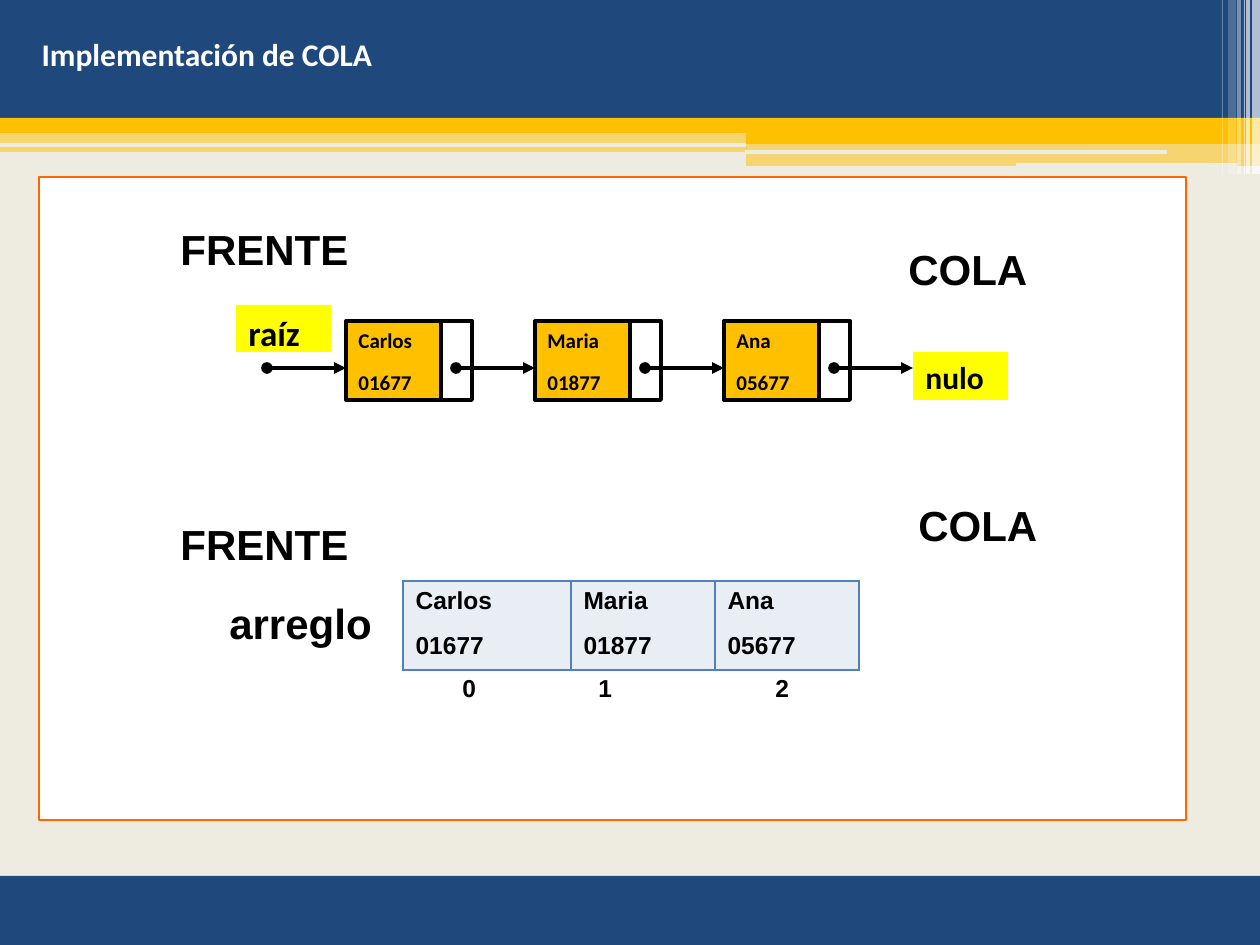
import lxml.etree
import pptx
import pptx.dml.color
import pptx.enum.shapes
import pptx.enum.text
import pptx.oxml.ns
import pptx.util

EMU_PER_PX = 914400 / 126
NAVY, GOLD, CREAM = "1F497D", "FFC000", "EEECE1"
WHITE, BLACK, YELLOW, ORANGE = "FFFFFF", "000000", "FFFF00", "FF6600"
TABLE_FILL, TABLE_BORDER = "E9EDF4", "4F81BD"
RECTANGLE = pptx.enum.shapes.MSO_SHAPE.RECTANGLE
ROUNDED = pptx.enum.shapes.MSO_SHAPE.ROUNDED_RECTANGLE
ANCHOR = pptx.enum.text.MSO_ANCHOR
ALIGN = pptx.enum.text.PP_ALIGN


def px(length):
    return pptx.util.Emu(round(length * EMU_PER_PX))


def color(hex_string):
    return pptx.dml.color.RGBColor.from_string(hex_string)


def add_xml(parent, tag, **attributes):
    return lxml.etree.SubElement(parent, pptx.oxml.ns.qn(tag), attributes)


class SlideBuilder:
    """Holds the text style and the slide being drawn; lengths are in px."""

    heading_font = "Calibri"
    label_font = "Arial"
    line_width = 2.25

    def __init__(self, slide):
        self.slide = slide
        self.shapes = slide.shapes

    def background(self, fill):
        self.slide.background.fill.solid()
        self.slide.background.fill.fore_color.rgb = color(fill)

    def add_lines(self, frame, lines, size, font, text_color=BLACK, gap=0, align=ALIGN.LEFT):
        """Fill a text frame with one bold paragraph per line."""
        frame.word_wrap = True
        for index, line in enumerate(lines):
            paragraph = frame.paragraphs[0] if index == 0 else frame.add_paragraph()
            paragraph.alignment = align
            paragraph.space_before = pptx.util.Pt(0)
            paragraph.space_after = pptx.util.Pt(gap)
            run = paragraph.add_run()
            run.text = line
            run.font.name = font
            run.font.size = pptx.util.Pt(size)
            run.font.bold = True
            run.font.color.rgb = color(text_color)

    def title(self, text, left, top, width, height):
        """Place the title placeholder above everything drawn so far."""
        title = self.shapes.title
        title.left, title.top, title.width, title.height = map(px, (left, top, width, height))
        title.text_frame.vertical_anchor = ANCHOR.TOP
        self.add_lines(title.text_frame, [text], 18, self.heading_font, WHITE,
                       align=ALIGN.JUSTIFY)
        title.element.getparent().append(title.element)

    def box(self, left, top, width, height, fill, opacity=100, line=None,
            line_width=line_width, kind=RECTANGLE):
        shape = self.shapes.add_shape(kind, px(left), px(top), px(width), px(height))
        shape.shadow.inherit = False
        shape.fill.solid()
        shape.fill.fore_color.rgb = color(fill)
        if opacity < 100:
            fill_color = shape.element.spPr.find(".//" + pptx.oxml.ns.qn("a:srgbClr"))
            add_xml(fill_color, "a:alpha", val=str(opacity * 1000))
        if line:
            shape.line.color.rgb = color(line)
            shape.line.width = pptx.util.Pt(line_width)
        else:
            shape.line.fill.background()
        return shape

    def text_box(self, lines, left, top, width, height, fill, size, line=None):
        shape = self.box(left, top, width, height, fill, line=line)
        shape.text_frame.vertical_anchor = ANCHOR.TOP
        self.add_lines(shape.text_frame, lines, size, self.heading_font, gap=10)

    def label(self, text, left, top, width, height=64, size=24):
        label = self.shapes.add_textbox(px(left), px(top), px(width), px(height))
        label.text_frame.vertical_anchor = ANCHOR.MIDDLE
        self.add_lines(label.text_frame, [text], size, self.label_font)
        return label

    def tabbed_label(self, texts, stops, left, top, width):
        """Put each text at its own tab stop on one line."""
        label = self.label("".join("\t" + text for text in texts), left, top, width, size=14)
        properties = label.text_frame.paragraphs[0]._p.get_or_add_pPr()
        tab_list = add_xml(properties, "a:tabLst")
        for stop in stops:
            add_xml(tab_list, "a:tab", pos=str(px(stop)), algn="l")

    def arrow(self, left, y, length):
        """Horizontal pointer with a dot at its start."""
        connector = self.shapes.add_connector(
            pptx.enum.shapes.MSO_CONNECTOR.STRAIGHT, px(left), px(y), px(left + length), px(y))
        connector.line.color.rgb = color(BLACK)
        connector.line.width = pptx.util.Pt(self.line_width)
        properties = connector.element.spPr
        line = properties.find(pptx.oxml.ns.qn("a:ln"))
        add_xml(line, "a:headEnd", type="oval")
        add_xml(line, "a:tailEnd", type="triangle")
        add_xml(properties, "a:effectLst")

    def table_row(self, cells, left, top, column_widths, height):
        frame = self.shapes.add_table(
            1, len(cells), px(left), px(top), px(sum(column_widths)), px(height))
        table = frame.table
        table.first_row = table.horz_banding = False
        table.rows[0].height = px(height)
        for index, (lines, width) in enumerate(zip(cells, column_widths)):
            table.columns[index].width = px(width)
            cell = table.cell(0, index)
            self.add_lines(cell.text_frame, lines, 14, self.label_font, gap=10)
            properties = cell._tc.get_or_add_tcPr()
            for side in ("a:lnL", "a:lnR", "a:lnT", "a:lnB"):
                border = add_xml(properties, side, w=str(pptx.util.Pt(1)))
                add_xml(add_xml(border, "a:solidFill"), "a:srgbClr", val=TABLE_BORDER)
            cell.fill.solid()
            cell.fill.fore_color.rgb = color(TABLE_FILL)


def draw_frame(builder):
    builder.background(CREAM)
    for left, top, width, height, fill, opacity in (
        (0, 876, 1260, 69, NAVY, 100),
        (0, 147, 747, 5, GOLD, 50),
        (0, 132, 1260, 11, GOLD, 50),
        (0, 0, 1260, 118, NAVY, 100),
        (0, 118, 1260, 15, GOLD, 100),
        (746, 131, 514, 13, GOLD, 100),
        (746, 141, 514, 25, GOLD, 50),
    ):
        builder.box(left, top, width, height, fill, opacity)
    builder.box(1016, 163, 221, 5, CREAM, kind=ROUNDED)
    for left, width, opacity in (
        (1252, 8, 65), (1246, 4, 65), (1244, 1, 60), (1237, 4, 40), (1228, 8, 20), (1222, 1, 30),
    ):
        builder.box(left, 0, width, 174, WHITE, opacity)
    builder.box(745, 150, 422, 4, CREAM, kind=ROUNDED)
    builder.box(39, 177, 1147, 643, WHITE, line=ORANGE, line_width=1)
    builder.title("Implementación de COLA", 29, 29, 1201, 50)


def draw_linked_queue(builder, people):
    first_left, top, pitch, height = 346, 321, 189, 79
    data_width, link_width, arrow_length, arrow_y = 95, 31, 79, 368
    for index, person in enumerate(people):
        left = first_left + index * pitch
        builder.text_box(person, left, top, data_width, height, GOLD, 12, BLACK)
        builder.box(left + data_width, top, link_width, height, WHITE, line=BLACK)
    for index in range(len(people) + 1):
        builder.arrow(first_left + index * pitch - arrow_length, arrow_y, arrow_length)
    builder.text_box(["raíz"], 236, 305, 95, 47, YELLOW, 20)
    builder.text_box(["nulo"], first_left + len(people) * pitch, 352, 95, 48, YELLOW, 18)
    builder.label("FRENTE", 168, 217, 207)
    builder.label("COLA", 896, 237, 178)


def draw_array_queue(builder, people):
    builder.table_row(people, 403, 581, (168, 144, 144), 88)
    builder.label("FRENTE", 168, 512, 207)
    builder.label("COLA", 906, 493, 178)
    builder.label("arreglo", 217, 591, 178)
    builder.tabbed_label(("0", "1", "2"), (47, 183, 360), 403, 656, 462)


def main():
    presentation = pptx.Presentation()
    presentation.slide_width, presentation.slide_height = px(1260), px(945)
    builder = SlideBuilder(presentation.slides.add_slide(presentation.slide_layouts[5]))
    people = (("Carlos", "01677"), ("Maria", "01877"), ("Ana", "05677"))
    draw_frame(builder)
    draw_linked_queue(builder, people)
    draw_array_queue(builder, people)
    presentation.save("out.pptx")


if __name__ == "__main__":
    main()
